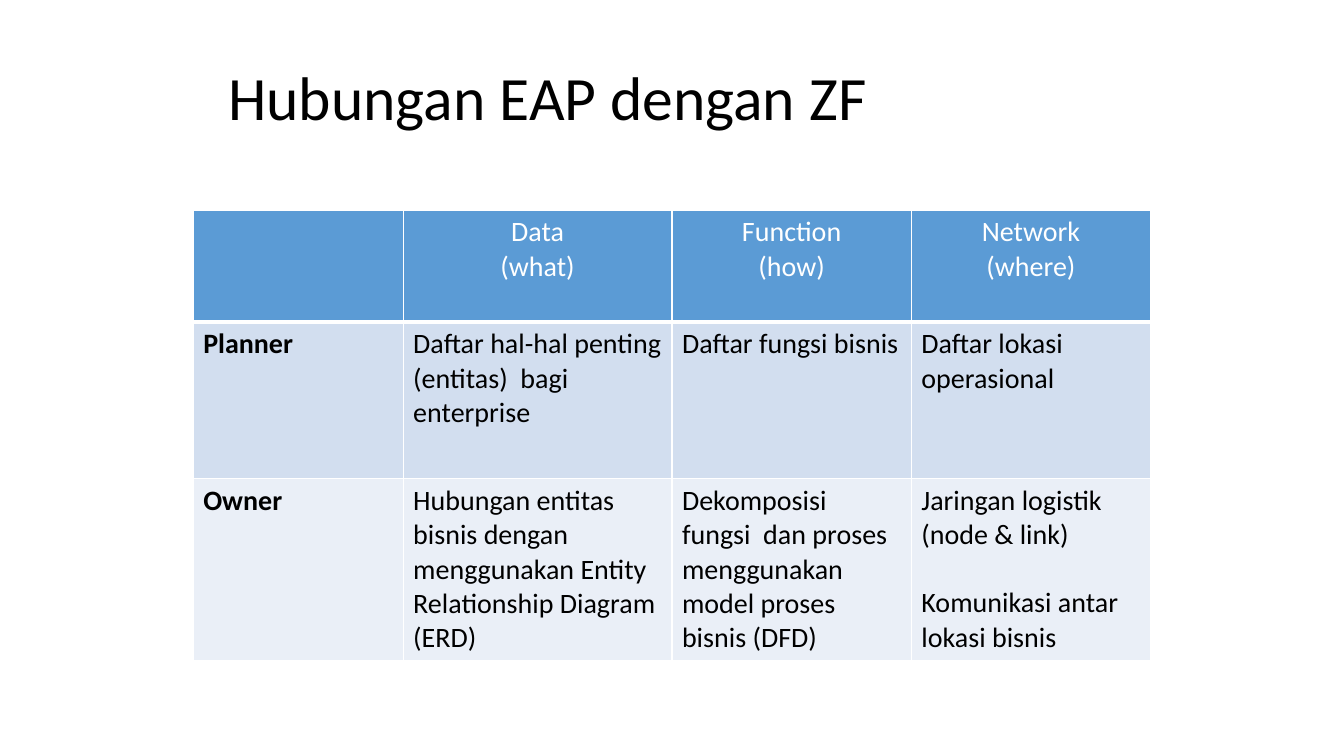
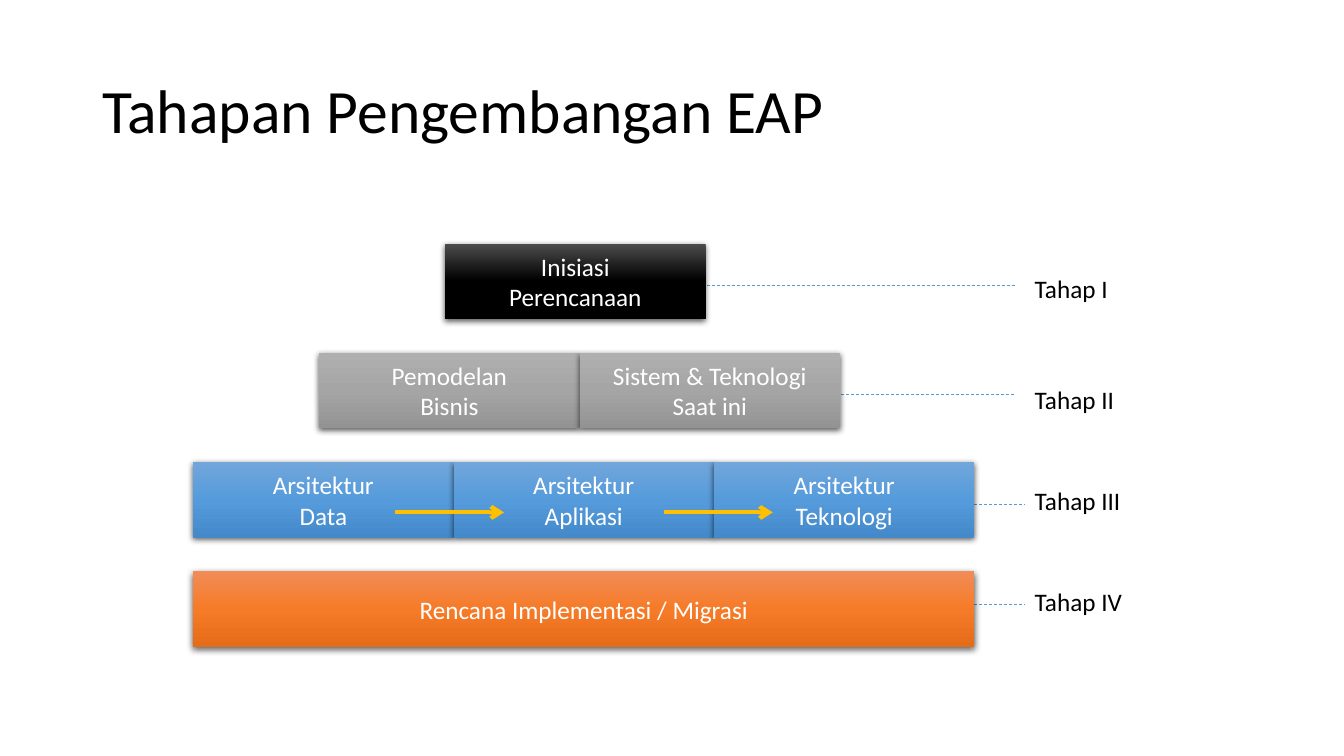
import pptx
import pptx.chart.data
import pptx.dml.color
import pptx.enum.dml
import pptx.enum.shapes
import pptx.enum.text
import pptx.oxml
import pptx.oxml.ns
import pptx.util
from lxml import etree

Pt = pptx.util.Pt
ALIGN = pptx.enum.text.PP_ALIGN
ANCHOR = pptx.enum.text.MSO_ANCHOR
qn = pptx.oxml.ns.qn

FONT = "Calibri"
COLORS = {
    "text": "000000",
    "light": "FFFFFF",
    "header": "5B9BD5",
    "planner": "D2DEEF",
    "owner": "EAEFF7",
    "leader": "5B9BD5",
    "arrow": "FFC000",
    "shadow": "000000",
}
GRADIENTS = {
    "black": ("4B4B4B", "000000", "000000"),
    "gray": ("AFAFAF", "A5A5A5", "939393"),
    "blue": ("71A6DB", "559BDB", "448ACA"),
    "orange": ("F18C57", "F67B28", "E56C19"),
}

COLUMN_WIDTHS = (150, 192, 171, 171)
ROW_HEIGHTS = (80, 112, 130)
ROW_FILLS = ("header", "planner", "owner")
FRAMEWORK = (
    ([], ["Data", "(what)"], ["Function", "(how)"], ["Network", "(where)"]),
    (["Planner"], ["Daftar hal-hal penting (entitas)  bagi enterprise"],
     ["Daftar fungsi bisnis"], ["Daftar lokasi operasional"]),
    (["Owner"],
     ["Hubungan entitas bisnis dengan menggunakan Entity Relationship Diagram (ERD)"],
     ["Dekomposisi fungsi  dan proses menggunakan model proses bisnis (DFD)"],
     ["Jaringan logistik (node & link)", "Komunikasi antar lokasi bisnis"]),
)

BLOCK_WIDTH, BLOCK_HEIGHT = 186, 54
STAGE_TOP, STAGE_STEP = 174, 78
LABEL_LEFT = 732
# gradient, left edge, block width, block texts, leader (x1, x2, y), label top
STAGES = (
    ("Tahap I", "black", 318, BLOCK_WIDTH, [["Inisiasi", "Perencanaan"]],
     (480, 726, 204), 192),
    ("Tahap II", "gray", 228, BLOCK_WIDTH,
     [["Pemodelan", "Bisnis"], ["Sistem & Teknologi", "Saat ini"]],
     (576, 726, 282), 271),
    ("Tahap III", "blue", 138, BLOCK_WIDTH,
     [["Arsitektur", "Data"], ["Arsitektur", "Aplikasi"], ["Arsitektur", "Teknologi"]],
     (660, 732, 360), 343),
    ("Tahap IV", "orange", 138, 3 * BLOCK_WIDTH, [["Rencana Implementasi / Migrasi"]],
     (660, 732, 432), 415),
)


def rgb(name):
    """Return the palette colour of that name."""
    return pptx.dml.color.RGBColor.from_string(COLORS[name])


def write(frame, lines, size, color="text", align=ALIGN.LEFT, bold=False):
    """Put one paragraph per line into a text frame and format it."""
    frame.text = "\n".join(lines)
    frame.word_wrap = True
    for paragraph in frame.paragraphs:
        paragraph.alignment = align
        for run in paragraph.runs:
            run.font.name = FONT
            run.font.size = Pt(size)
            run.font.bold = bold
            run.font.color.rgb = rgb(color)


def add_title(slide, title, left, top, width, height):
    """Add a slide title."""
    frame = slide.shapes.add_textbox(Pt(left), Pt(top), Pt(width), Pt(height)).text_frame
    write(frame, [title], 44)
    frame.vertical_anchor = ANCHOR.MIDDLE
    frame.paragraphs[0].line_spacing = 0.9


def add_borders(cell, bottom_width):
    """Draw white borders round a table cell."""
    properties = cell._tc.get_or_add_tcPr()
    for position, side in enumerate("LRTB"):
        width = bottom_width if side == "B" else 1
        border = etree.Element(qn("a:ln" + side), w=str(Pt(width)))
        solid = etree.SubElement(border, qn("a:solidFill"))
        etree.SubElement(solid, qn("a:srgbClr"), val=COLORS["light"])
        properties.insert(position, border)


def add_framework_table(slide, left, top):
    """Add the table of roles against framework columns."""
    table = slide.shapes.add_table(
        len(ROW_HEIGHTS), len(COLUMN_WIDTHS), Pt(left), Pt(top),
        Pt(sum(COLUMN_WIDTHS)), Pt(sum(ROW_HEIGHTS))).table
    for column, width in zip(table.columns, COLUMN_WIDTHS):
        column.width = Pt(width)
    for row_number, (row, height) in enumerate(zip(table.rows, ROW_HEIGHTS)):
        row.height = Pt(height)
        is_header = row_number == 0
        for column_number, cell in enumerate(row.cells):
            cell.fill.solid()
            cell.fill.fore_color.rgb = rgb(ROW_FILLS[row_number])
            add_borders(cell, 3 if is_header else 1)
            write(cell.text_frame, FRAMEWORK[row_number][column_number], 20,
                  "light" if is_header else "text",
                  ALIGN.CENTER if is_header else ALIGN.LEFT,
                  bold=column_number == 0)
    table.cell(2, 3).text_frame.paragraphs[1].space_before = Pt(24)


def add_block(slide, lines, gradient, left, top, width):
    """Add a shaded stage block with a soft shadow."""
    block = slide.shapes.add_shape(
        pptx.enum.shapes.MSO_SHAPE.RECTANGLE,
        Pt(left), Pt(top), Pt(width), Pt(BLOCK_HEIGHT))
    block.line.fill.background()
    block.fill.gradient()
    block.fill.gradient_angle = 270
    properties = block._element.spPr
    stops = properties.find(".//" + qn("a:gsLst"))
    for stop in list(stops):
        stops.remove(stop)
    for position, color in zip((0, 50000, 100000), GRADIENTS[gradient]):
        stop = etree.SubElement(stops, qn("a:gs"), pos=str(position))
        etree.SubElement(stop, qn("a:srgbClr"), val=color)
    block.shadow.inherit = False
    shadow = etree.SubElement(
        properties.find(qn("a:effectLst")), qn("a:outerShdw"),
        blurRad=str(Pt(4.5)), dist=str(Pt(1.5)), dir="5400000",
        algn="ctr", rotWithShape="0")
    shade = etree.SubElement(shadow, qn("a:srgbClr"), val=COLORS["shadow"])
    etree.SubElement(shade, qn("a:alpha"), val="63000")
    write(block.text_frame, lines, 18, "light", ALIGN.CENTER)
    block.text_frame.vertical_anchor = ANCHOR.MIDDLE


def add_line(slide, start, end, y, color, width):
    """Add a horizontal connector without shadow and return it."""
    line = slide.shapes.add_connector(
        pptx.enum.shapes.MSO_CONNECTOR.STRAIGHT, Pt(start), Pt(y), Pt(end), Pt(y))
    line.line.color.rgb = rgb(color)
    line.line.width = Pt(width)
    etree.SubElement(line._element.spPr, qn("a:effectLst"))
    return line


def add_leader(slide, start, end, y):
    """Add the dashed line from a stage to its label."""
    leader = add_line(slide, start, end, y, "leader", 0.5)
    leader.line.dash_style = pptx.enum.dml.MSO_LINE.DASH


def add_arrow(slide, start, end, y):
    """Add an arrow between neighbouring architectures."""
    arrow = add_line(slide, start, end, y, "arrow", 3)
    etree.SubElement(arrow.line._get_or_add_ln(), qn("a:tailEnd"), type="arrow")


def add_label(slide, label, top):
    """Add a stage label in the right column."""
    frame = slide.shapes.add_textbox(Pt(LABEL_LEFT), Pt(top), Pt(90), Pt(29)).text_frame
    write(frame, [label], 18)
    frame.auto_size = pptx.enum.text.MSO_AUTO_SIZE.SHAPE_TO_FIT_TEXT


def build_framework_slide(slide):
    """Build the slide relating EAP to ZF."""
    add_title(slide, "Hubungan EAP dengan ZF", 156, 30, 648, 84)
    add_framework_table(slide, 138, 150)


def build_stages_slide(slide):
    """Build the slide of the EAP development stages."""
    for *_, leader, _ in STAGES:
        add_leader(slide, *leader)
    add_title(slide, "Tahapan Pengembangan EAP", 66, 29, 828, 104)
    for number, (label, gradient, left, width, blocks, _, label_top) in enumerate(STAGES):
        for position, lines in enumerate(blocks):
            add_block(slide, lines, gradient, left + position * width,
                      STAGE_TOP + number * STAGE_STEP, width)
        add_label(slide, label, label_top)
    for start, end in ((282, 360), (474, 552)):
        add_arrow(slide, start, end, 366)


def main():
    """Build and save the presentation."""
    deck = pptx.Presentation()
    deck.slide_width, deck.slide_height = Pt(960), Pt(540)
    blank = deck.slide_layouts[6]
    for build in (build_framework_slide, build_stages_slide):
        build(deck.slides.add_slide(blank))
    deck.save("out.pptx")


main()
